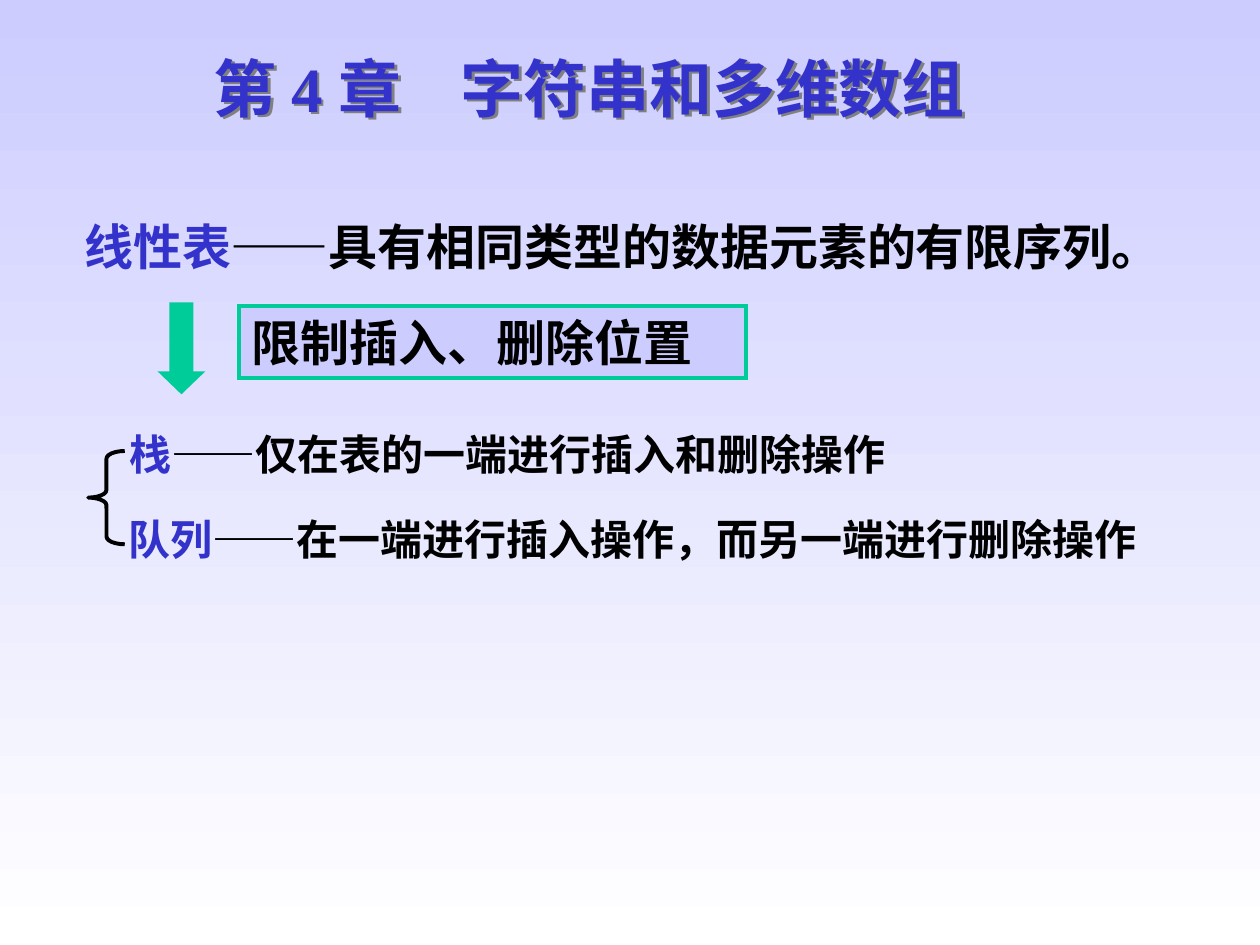
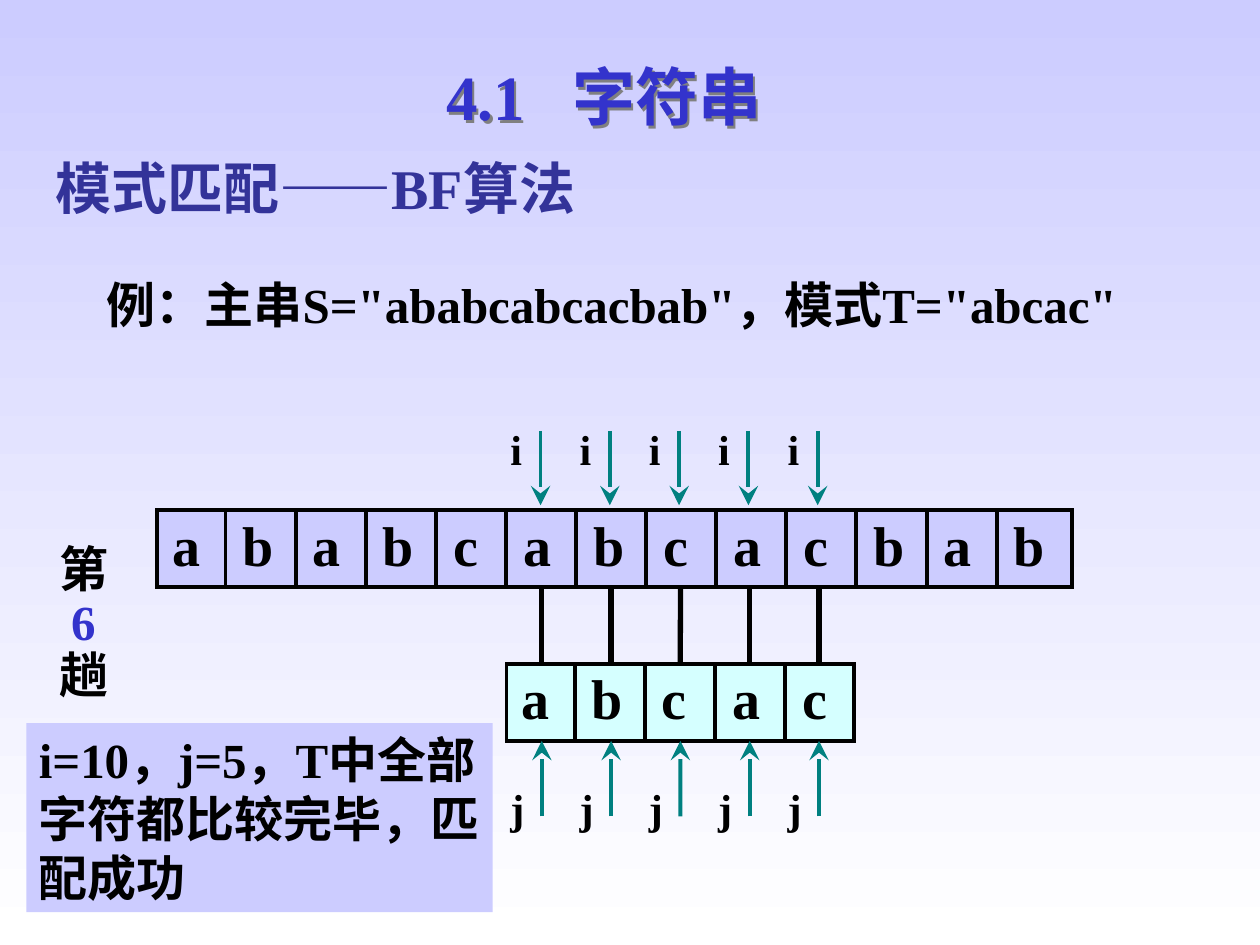
from lxml import etree
from pptx import Presentation
from pptx import util as u
from pptx.dml.color import RGBColor
from pptx.enum import shapes, text
from pptx.oxml import ns

hues = {
    "sky": "CCCCFF", "white": "FFFFFF", "blue": "3333CC", "navy": "333399",
    "ink": "000000", "mint": "00CC99", "ice": "D5FFFF", "teal": "008080",
    "gray": "808080",
}
rgb = {name: RGBColor.from_string(code) for name, code in hues.items()}
ROMAN, SANS, HAN = "Times New Roman", "Arial", "Noto Sans CJK SC"

deck = Presentation()
deck.slide_width, deck.slide_height = u.Inches(10), u.Inches(7.5)
fade = deck.slide_master.background.fill
fade.gradient()
fade.gradient_angle = 270
for stop, name, pos in zip(fade.gradient_stops, ("sky", "white"), (0, 1)):
    stop.color.rgb = rgb[name]
    stop.position = pos


def put(page, at, paras, size, font=ROMAN, fill=None, edge=None,
        pad=(0.1, 0.05, 0.1, 0.05), tabs=(), lead=None, glow=False):
    spot = [u.Inches(v) for v in at]
    if fill:
        box = page.shapes.add_shape(shapes.MSO_SHAPE.RECTANGLE, *spot)
        box.shadow.inherit = False
        box.fill.solid()
        box.fill.fore_color.rgb = rgb[fill]
        if edge:
            box.line.color.rgb = rgb[edge]
            box.line.width = u.Pt(2.25)
            etree.SubElement(box.line._get_or_add_ln(), ns.qn("a:miter"), lim="800000")
        else:
            box.line.fill.background()
    else:
        box = page.shapes.add_textbox(*spot)
    if glow:
        fx = etree.SubElement(box._element.spPr, ns.qn("a:effectLst"))
        drop = etree.SubElement(fx, ns.qn("a:outerShdw"), dist="28400", dir="2700000")
        etree.SubElement(drop, ns.qn("a:srgbClr"), val=hues["gray"])
    frame = box.text_frame
    frame.word_wrap = True
    frame.vertical_anchor = text.MSO_ANCHOR.MIDDLE if pad[1] == 0 else text.MSO_ANCHOR.TOP
    frame.margin_left, frame.margin_top, frame.margin_right, frame.margin_bottom = [
        u.Inches(v) for v in pad]
    for n, runs in enumerate(paras):
        para = frame.add_paragraph() if n else frame.paragraphs[0]
        para.alignment = text.PP_ALIGN.LEFT
        para.line_spacing = lead
        form = para._p.get_or_add_pPr()
        form.set("hangingPunct", "0")
        if tabs:
            stops = etree.SubElement(form, ns.qn("a:tabLst"))
            for tab in tabs:
                etree.SubElement(stops, ns.qn("a:tab"), pos=str(u.Inches(tab)), algn="l")
        for words, hue in runs:
            run = para.add_run()
            run.text = words
            run.font.size, run.font.bold = u.Pt(size), True
            run.font.color.rgb = rgb[hue]
            run.font.name = HAN if words == "——" else font
            etree.SubElement(run._r.get_or_add_rPr(), ns.qn("a:ea"), typeface=HAN)
    return box


def rule(page, x, top, end, hue="ink", width=2.25, head=False):
    line = page.shapes.add_connector(
        shapes.MSO_CONNECTOR.STRAIGHT, *[u.Inches(v) for v in (x, top, x, end)])
    line.line.color.rgb = rgb[hue]
    line.line.width = u.Pt(width)
    if head:
        etree.SubElement(line.line._get_or_add_ln(), ns.qn("a:tailEnd"),
                         type="stealth", w="lg", len="lg")
    etree.SubElement(line._element.spPr, ns.qn("a:effectLst"))
    return line


blank = deck.slide_layouts[6]

intro = deck.slides.add_slide(blank)
put(intro, (1.6, 0.34, 6.23, 0.7), [[("第 4 章\t字符串和多维数组", "blue")]], 36,
    tabs=[1.96], glow=True)
terms = [
    ((0.57, 1.67, 8.84, 0.57), 28, "线性表", "具有相同类型的数据元素的有限序列。"),
    ((0.93, 3.35, 8.45, 0.5), 24, "栈", "仅在表的一端进行插入和删除操作"),
    ((0.92, 4.03, 8.34, 0.5), 24, "队列", "在一端进行插入操作，而另一端进行删除操作"),
]
for at, size, term, sense in terms:
    put(intro, at, [[(term, "blue"), ("——", "ink"), (sense, "ink")]], size, SANS)
put(intro, (1.9, 2.43, 4.02, 0.57), [[("限制插入、删除位置", "ink")]], 28, SANS, "sky", "mint")

down = intro.shapes.add_shape(
    shapes.MSO_SHAPE.DOWN_ARROW, *[u.Inches(v) for v in (1.25, 2.4, 0.38, 0.73)])
down.shadow.inherit = False
down.adjustments[0], down.adjustments[1] = 0.5, 0.48
down.fill.solid()
down.fill.fore_color.rgb = rgb["mint"]
down.line.fill.background()

brace = intro.shapes.add_shape(
    shapes.MSO_SHAPE.LEFT_BRACE, *[u.Inches(v) for v in (0.7, 3.58, 0.29, 0.74)])
brace.shadow.inherit = False
brace.adjustments[0] = 0.21
brace.fill.background()
brace.line.color.rgb = rgb["ink"]
brace.line.width = u.Pt(2.25)

match = deck.slides.add_slide(blank)
put(match, (2.93, 0.41, 3.71, 0.7), [[("4.1\t字符串", "blue")]], 36,
    pad=(0.61, 0.05, 0.1, 0.05), tabs=[1], glow=True)
put(match, (0.34, 1.17, 8.17, 0.64),
    [[("模式匹配", "navy"), ("——", "navy"), ("BF算法", "navy")]], 32)
put(match, (0.75, 2.13, 8.92, 0.57),
    [[('例：主串S="ababcabcacbab"，模式T="abcac"', "ink")]], 28)
put(match, (0.37, 4.28, 0.71, 1.36),
    [[("第", "ink")], [(" 6", "blue")], [("趟", "ink")]], 28, lead=0.9)
put(match, (0.21, 5.74, 3.7, 1.5),
    [[("i=10，j=5，T中全部字符都比较完毕，匹配成功", "ink")]], 28, fill="sky")

rows = [
    ("ababcabcacbab", 1.25, 4.05, 7.26, "sky", 1.79, 7.91),
    ("abcac", 4.02, 5.27, 2.76, "ice", 4.56, 6.23),
]
tall = 0.61
for chars, left, top, wide, hue, first, last in rows:
    count = len(chars)
    step = (last - first) / (count - 2)
    row = put(match, (left, top, wide, tall), [[("\t".join(chars), "ink")]], 32,
              fill=hue, edge="ink", pad=(0.12, 0, 0.02, 0.08),
              tabs=[step * k for k in range(1, count)])
    for k in range(count - 1):
        rule(match, first + k * step, top, top + tall)

for k in range(5):
    x = 4.3 + 0.55 * k
    link = rule(match, x, 4.66, 5.27, width=3)
    rule(match, x - 0.01, 3.42, 4.01, "teal", head=True)
    rise = rule(match, x, 6.48, 5.88, "teal", head=True)
    if k == 2:
        link.end_connect(row, 0)
        rise.end_connect(row, 2)
    for mark, y in (("i", 3.31), ("j", 6.16)):
        put(match, (x - 0.25, y, 0.25, 0.5), [[(mark, "ink")]], 24, pad=(0, 0.05, 0, 0.05))

deck.save("out.pptx")
